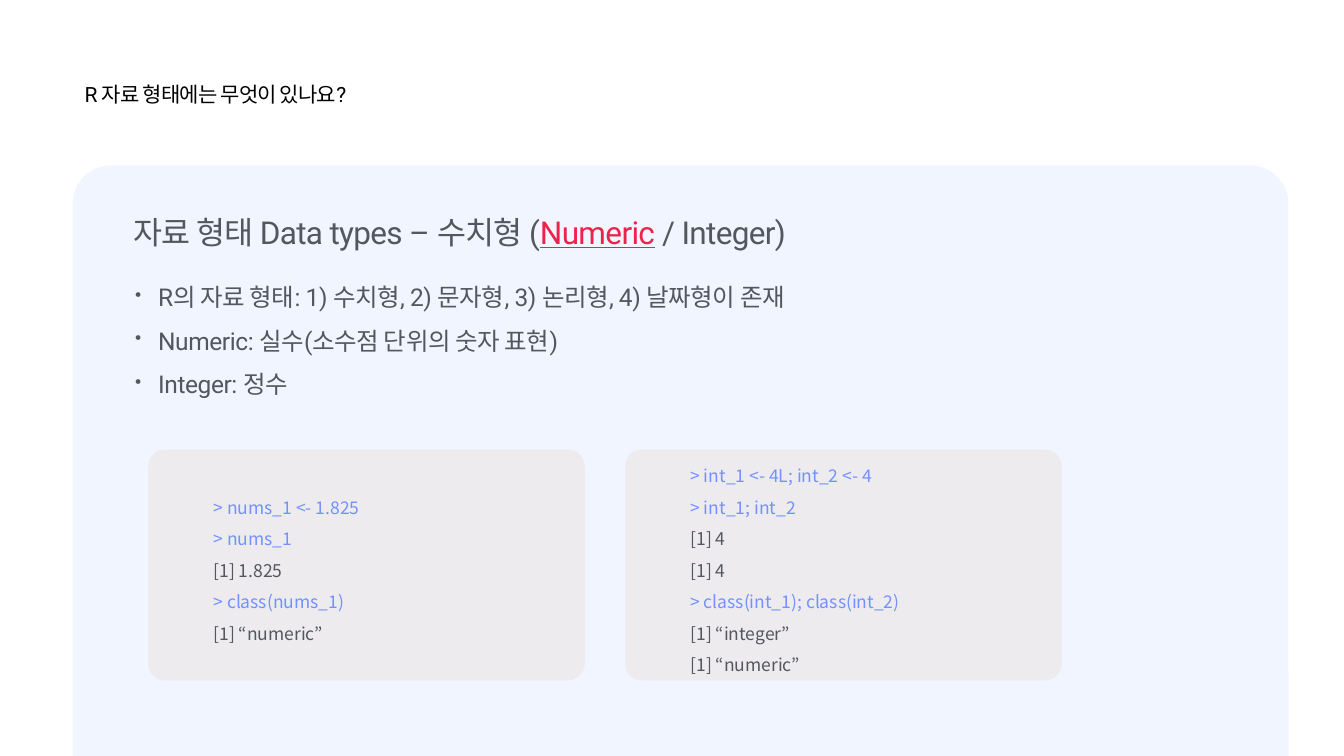
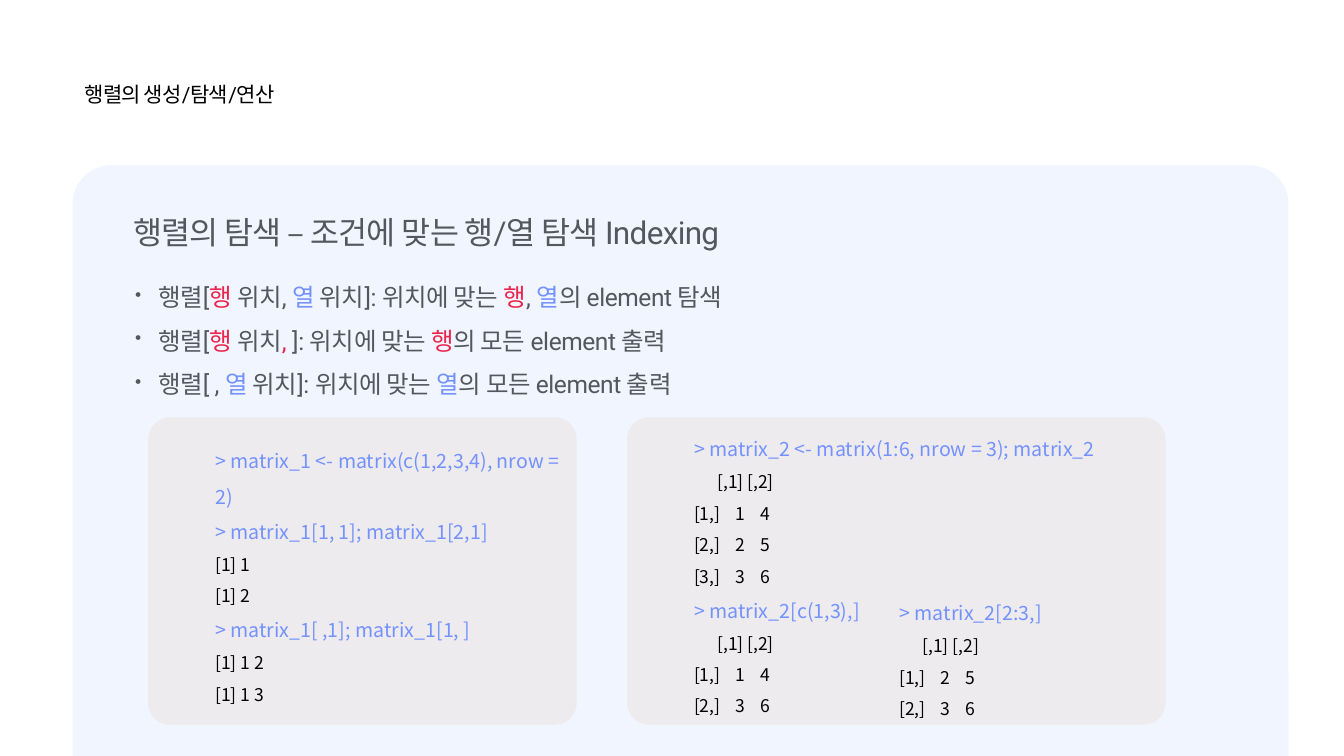
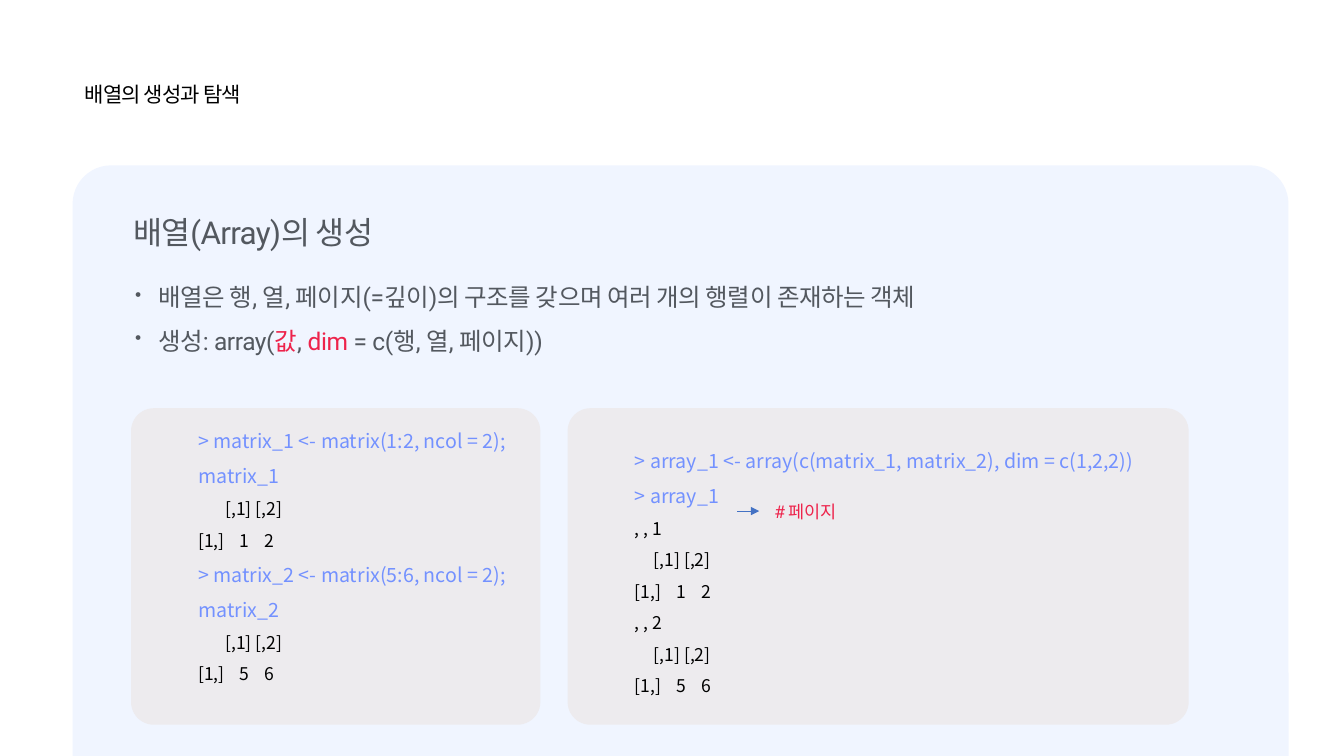
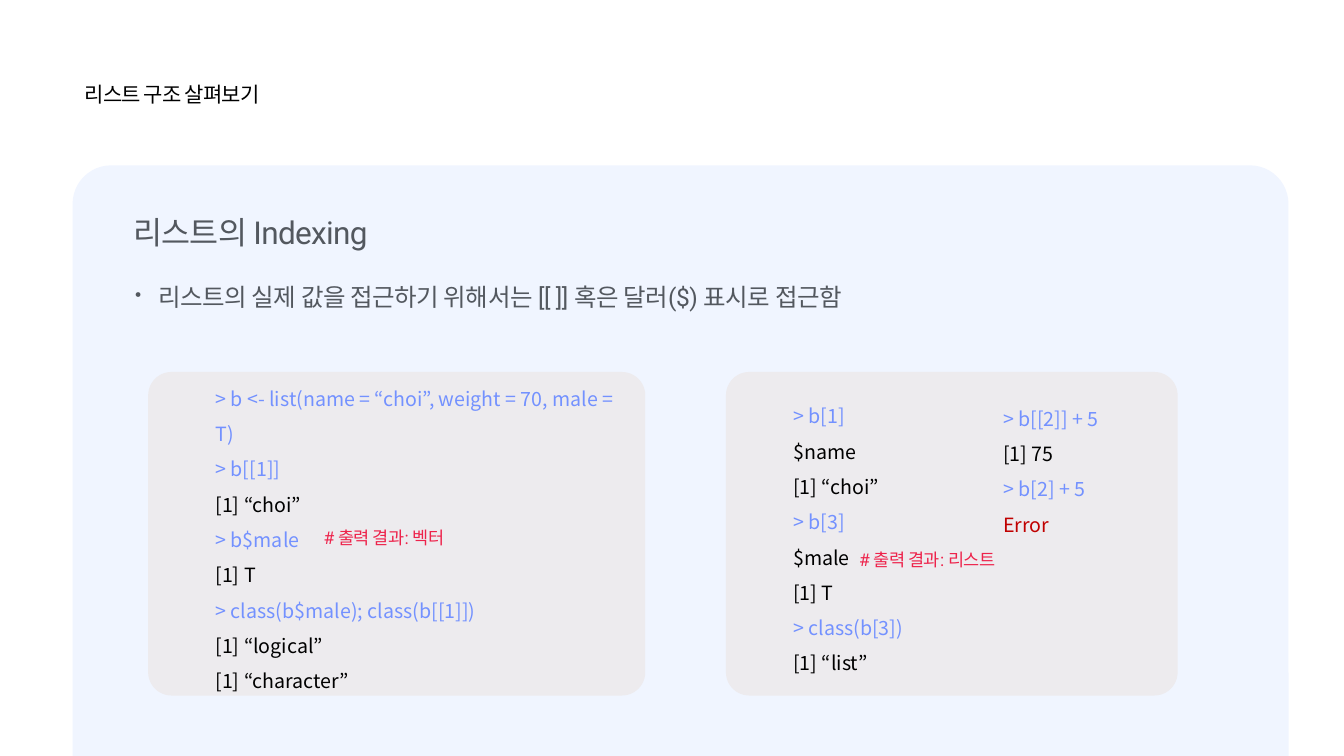
from dataclasses import dataclass
from typing import NamedTuple

from lxml.etree import SubElement
from pptx import Presentation
from pptx.dml.color import RGBColor
from pptx.enum.shapes import MSO_CONNECTOR, MSO_SHAPE
from pptx.enum.text import MSO_ANCHOR
from pptx.oxml.ns import qn
from pptx.util import Pt

EMU_PER_PX = 9144


class TextStyle(NamedTuple):
    """Font, size, colour and tracking of one kind of text."""
    font: str
    size: float
    color: str
    tracking: float = 0


class CodeStyle(NamedTuple):
    """Looks of commands and of their output in one slide's code."""
    command: TextStyle
    output: TextStyle


class Piece(NamedTuple):
    """A stretch of text that may carry its own colour."""
    text: str
    color: str = None
    underline: bool = False


class Box(NamedTuple):
    """A region in px."""
    left: int
    top: int
    width: int
    height: int

    def inside(self, left, top, width, height):
        """Return a box placed relative to this one."""
        return Box(self.left + left, self.top + top, width, height)

    def emu(self):
        """Return the four lengths in EMU."""
        return [px(length) for length in self]


@dataclass(frozen=True)
class Theme:
    """Colours and type sizes shared by all slides."""
    panel: str = "F0F5FF"
    code_fill: str = "EDEBEE"
    red: str = "ED234B"
    blue: str = "7391FF"
    error: str = "C00000"
    arrow: str = "4472C4"
    korean: str = "Noto Sans CJK KR"
    topic: TextStyle = TextStyle("Roboto", 15, "000000", -0.6)
    heading: TextStyle = TextStyle("Roboto", 22.5, "53585F", -0.5)
    bullet: TextStyle = TextStyle("Roboto", 17.5, "53585F", -0.3)
    note: TextStyle = TextStyle("Roboto", 12.5, "ED234B", -0.3)
    small_command: TextStyle = TextStyle("Noto Sans CJK KR", 12.5, "7391FF")
    command: TextStyle = TextStyle("Noto Sans CJK KR", 14, "7391FF")
    gray_output: TextStyle = TextStyle("Noto Sans CJK KR", 12.5, "53585F")
    output: TextStyle = TextStyle("Noto Sans CJK KR", 12.5, "000000")
    large_output: TextStyle = TextStyle("Noto Sans CJK KR", 14, "000000")


THEME = Theme()
SMALL_CODE = CodeStyle(THEME.small_command, THEME.gray_output)
MIXED_CODE = CodeStyle(THEME.command, THEME.output)
LARGE_CODE = CodeStyle(THEME.command, THEME.large_output)
SLIDE = Box(0, 0, 1333, 750)
PANEL = SLIDE.inside(72, 164, 1206, 628)
COLUMN_STOPS = (41, 66)


def px(length):
    """Turn px into EMU."""
    return length * EMU_PER_PX


def red(text, underline=False):
    """Return a piece in the theme's red."""
    return Piece(text, THEME.red, underline)


def blue(text):
    """Return a piece in the theme's blue."""
    return Piece(text, THEME.blue)


def write(paragraph, content, style):
    """Fill a paragraph with text or a list of pieces."""
    paragraph.font.name = style.font
    paragraph.font.size = Pt(style.size)
    paragraph.font.color.rgb = RGBColor.from_string(style.color)
    for item in content if isinstance(content, list) else [content]:
        piece = Piece(item) if isinstance(item, str) else item
        run = paragraph.add_run()
        run.text = piece.text
        if piece.color:
            run.font.color.rgb = RGBColor.from_string(piece.color)
        if piece.underline:
            run.font.underline = True
        properties = run._r.get_or_add_rPr()
        if style.tracking:
            properties.set("spc", str(round(style.tracking * 100)))
        SubElement(properties, qn("a:ea"), typeface=THEME.korean)


def set_insets(frame, left, top, right, bottom):
    """Set wrapping and the four insets of a text frame."""
    frame.word_wrap = True
    frame.margin_left, frame.margin_top = px(left), px(top)
    frame.margin_right, frame.margin_bottom = px(right), px(bottom)


def paragraphs(frame, count):
    """Return the given number of paragraphs of a new frame."""
    return [frame.paragraphs[0]] + [frame.add_paragraph() for _ in range(count - 1)]


def add_text(slide, box, contents, style, inset, before=0, after=0, bulleted=False):
    """Place a text box with one paragraph for each content."""
    frame = slide.shapes.add_textbox(*box.emu()).text_frame
    set_insets(frame, inset, inset, inset, inset)
    for paragraph, content in zip(paragraphs(frame, len(contents)), contents):
        paragraph.space_before, paragraph.space_after = Pt(before), Pt(after)
        if bulleted:
            properties = paragraph._p.get_or_add_pPr()
            properties.set("marL", str(px(23)))
            properties.set("indent", str(px(-23)))
            SubElement(properties, qn("a:buSzPct"), val="75000")
            SubElement(properties, qn("a:buChar"), char="•")
        write(paragraph, content, style)


def add_rounded(slide, box, fill, rounding):
    """Place a plain rounded rectangle."""
    card = slide.shapes.add_shape(MSO_SHAPE.ROUNDED_RECTANGLE, *box.emu())
    card.adjustments[0] = rounding
    card.shadow.inherit = False
    card.fill.solid()
    card.fill.fore_color.rgb = RGBColor.from_string(fill)
    card.line.fill.background()
    return card


def write_code(frame, lines, style, header_indent=23, space_below=5):
    """Write commands, output and matrix rows, one a paragraph."""
    set_insets(frame, 60, 5, 10, space_below)
    for paragraph, line in zip(paragraphs(frame, len(lines)), lines):
        text = line.text if isinstance(line, Piece) else line
        paragraph.line_spacing = 1.5
        properties = paragraph._p.get_or_add_pPr()
        properties.set("algn", "l")
        if text.startswith("[,"):
            properties.set("marL", str(px(header_indent)))
        if "\t" in text:
            stops = SubElement(properties, qn("a:tabLst"))
            for stop in COLUMN_STOPS:
                SubElement(stops, qn("a:tab"), pos=str(px(stop)), algn="l")
        write(paragraph, line, style.command if text.startswith(">") else style.output)


def add_code_card(slide, box, lines, style, **layout):
    """Place a filled card of code and return its box."""
    frame = add_rounded(slide, box, THEME.code_fill, 0.072).text_frame
    frame.vertical_anchor = MSO_ANCHOR.MIDDLE
    write_code(frame, lines, style, **layout)
    return box


def add_code_column(slide, box, lines, style):
    """Place a second column of code on top of a card."""
    write_code(slide.shapes.add_textbox(*box.emu()).text_frame, lines, style)


def add_note(slide, box, text):
    """Place a red remark beside code."""
    add_text(slide, box, [text], THEME.note, 3, after=10)


def add_arrow(slide, box):
    """Place an arrow along the top of the box."""
    left, top, width, _ = box.emu()
    arrow = slide.shapes.add_connector(MSO_CONNECTOR.STRAIGHT, left, top, left + width, top)
    arrow.line.color.rgb = RGBColor.from_string(THEME.arrow)
    arrow.line.width = Pt(0.5)
    SubElement(arrow.line._get_or_add_ln(), qn("a:tailEnd"), type="triangle")
    SubElement(arrow._element.spPr, qn("a:effectLst"))


def add_lesson(deck, topic, heading, bullets):
    """Add a slide with its topic, panel, heading and bullets."""
    slide = deck.slides.add_slide(deck.slide_layouts[6])
    add_text(slide, SLIDE.inside(83, 80, 363, 27), [topic], THEME.topic, 1, before=5)
    add_rounded(slide, PANEL, THEME.panel, 0.061)
    add_text(slide, PANEL.inside(59, 113, 1154, 122), bullets, THEME.bullet, 3,
             after=10, bulleted=True)
    add_text(slide, PANEL.inside(59, 46, 780, 39), [heading], THEME.heading, 1,
             before=6, after=7.5)
    return slide


def add_numeric_lesson(deck, panel):
    """Build the slide on numeric data types."""
    slide = add_lesson(
        deck, "R 자료 형태에는 무엇이 있나요?",
        ["자료 형태 Data types – 수치형 (", red("Numeric", True), " / Integer)"],
        ["R의 자료 형태: 1) 수치형, 2) 문자형, 3) 논리형, 4) 날짜형이 존재",
         "Numeric: 실수(소수점 단위의 숫자 표현)",
         "Integer: 정수"])
    examples = [
        ["> nums_1 <- 1.825", "> nums_1", "[1] 1.825", "> class(nums_1)",
         "[1] “numeric”"],
        ["> int_1 <- 4L; int_2 <- 4", "> int_1; int_2", "[1] 4", "[1] 4",
         "> class(int_1); class(int_2)", "[1] “integer”", "[1] “numeric”"]]
    for column, lines in enumerate(examples):
        add_code_card(slide, panel.inside(75 + 473 * column, 282, 433, 229), lines, SMALL_CODE)


def add_matrix_lesson(deck, panel):
    """Build the slide on matrix indexing."""
    slide = add_lesson(
        deck, "행렬의 생성/탐색/연산",
        "행렬의 탐색 – 조건에 맞는 행/열 탐색 Indexing",
        [["행렬[", red("행 "), "위치, ", blue("열 "), "위치]: 위치에 맞는 ",
          red("행"), ", ", blue("열"), "의 element 탐색"],
         ["행렬[", red("행 "), "위치", red(","), " ]: 위치에 맞는 ",
          red("행"), "의 모든 element 출력"],
         ["행렬[ , ", blue("열 "), "위치]: 위치에 맞는 ",
          blue("열"), "의 모든 element 출력"]])
    add_code_card(slide, panel.inside(75, 250, 425, 305), [
        "> matrix_1 <- matrix(c(1,2,3,4), nrow = 2)",
        "> matrix_1[1, 1]; matrix_1[2,1]", "[1] 1", "[1] 2",
        "> matrix_1[ ,1]; matrix_1[1, ]", "[1] 1 2", "[1] 1 3"], MIXED_CODE)
    card = add_code_card(slide, panel.inside(550, 250, 534, 305), [
        "> matrix_2 <- matrix(1:6, nrow = 3); matrix_2",
        "[,1] [,2]", "[1,]\t1\t4", "[2,]\t2\t5", "[3,]\t3\t6",
        "> matrix_2[c(1,3),]", "[,1] [,2]", "[1,]\t1\t4", "[2,]\t3\t6"], MIXED_CODE)
    add_code_column(slide, card.inside(210, 166, 235, 136), [
        "> matrix_2[2:3,]", "[,1] [,2]", "[1,]\t2\t5", "[2,]\t3\t6"], MIXED_CODE)


def add_array_lesson(deck, panel):
    """Build the slide on creating arrays."""
    slide = add_lesson(
        deck, "배열의 생성과 탐색", "배열(Array)의 생성",
        ["배열은 행, 열, 페이지(=깊이)의 구조를 갖으며 여러 개의 행렬이 존재하는 객체",
         ["생성: array(", red("값"), ", ", red("dim"), " = c(행, 열, 페이지))"]])
    add_code_card(slide, panel.inside(58, 241, 406, 314), [
        "> matrix_1 <- matrix(1:2, ncol = 2); matrix_1", "[,1] [,2]", "[1,]\t1\t2",
        "> matrix_2 <- matrix(5:6, ncol = 2); matrix_2", "[,1] [,2]", "[1,]\t5\t6"],
        MIXED_CODE, header_indent=27, space_below=36)
    card = add_code_card(slide, panel.inside(491, 241, 616, 314), [
        "> array_1 <- array(c(matrix_1, matrix_2), dim = c(1,2,2))", "> array_1",
        ", , 1", "[,1] [,2]", "[1,]\t1\t2", ", , 2", "[,1] [,2]", "[1,]\t5\t6"],
        MIXED_CODE, header_indent=19)
    add_note(slide, card.inside(202, 89, 164, 27), "# 페이지")
    add_arrow(slide, card.inside(168, 102, 22, 0))


def add_list_lesson(deck, panel):
    """Build the slide on list indexing."""
    slide = add_lesson(
        deck, "리스트 구조 살펴보기", "리스트의 Indexing",
        ["리스트의 실제 값을 접근하기 위해서는 [[ ]] 혹은 달러($) 표시로 접근함"])
    vector_card = add_code_card(slide, panel.inside(75, 205, 493, 321), [
        "> b <- list(name = “choi”, weight = 70, male = T)", "> b[[1]]", "[1] “choi”",
        "> b$male", "[1] T", "> class(b$male); class(b[[1]])",
        "[1] “logical”", "[1] “character”"], LARGE_CODE)
    list_card = add_code_card(slide, panel.inside(648, 205, 448, 321), [
        "> b[1]", "$name", "[1] “choi”", "> b[3]", "$male", "[1] T",
        "> class(b[3])", "[1] “list”"], LARGE_CODE)
    add_code_column(slide, list_card.inside(215, 18, 263, 147), [
        "> b[[2]] + 5", "[1] 75", "> b[2] + 5", Piece("Error", THEME.error)], LARGE_CODE)
    add_note(slide, vector_card.inside(171, 151, 164, 27), "# 출력 결과: 벡터")
    add_note(slide, list_card.inside(129, 173, 167, 27), "# 출력 결과: 리스트")


def main():
    """Build and save the four slides."""
    deck = Presentation()
    deck.slide_width, deck.slide_height = px(SLIDE.width), px(SLIDE.height)
    for add_slide in (add_numeric_lesson, add_matrix_lesson, add_array_lesson, add_list_lesson):
        add_slide(deck, PANEL)
    deck.save("out.pptx")


if __name__ == "__main__":
    main()
